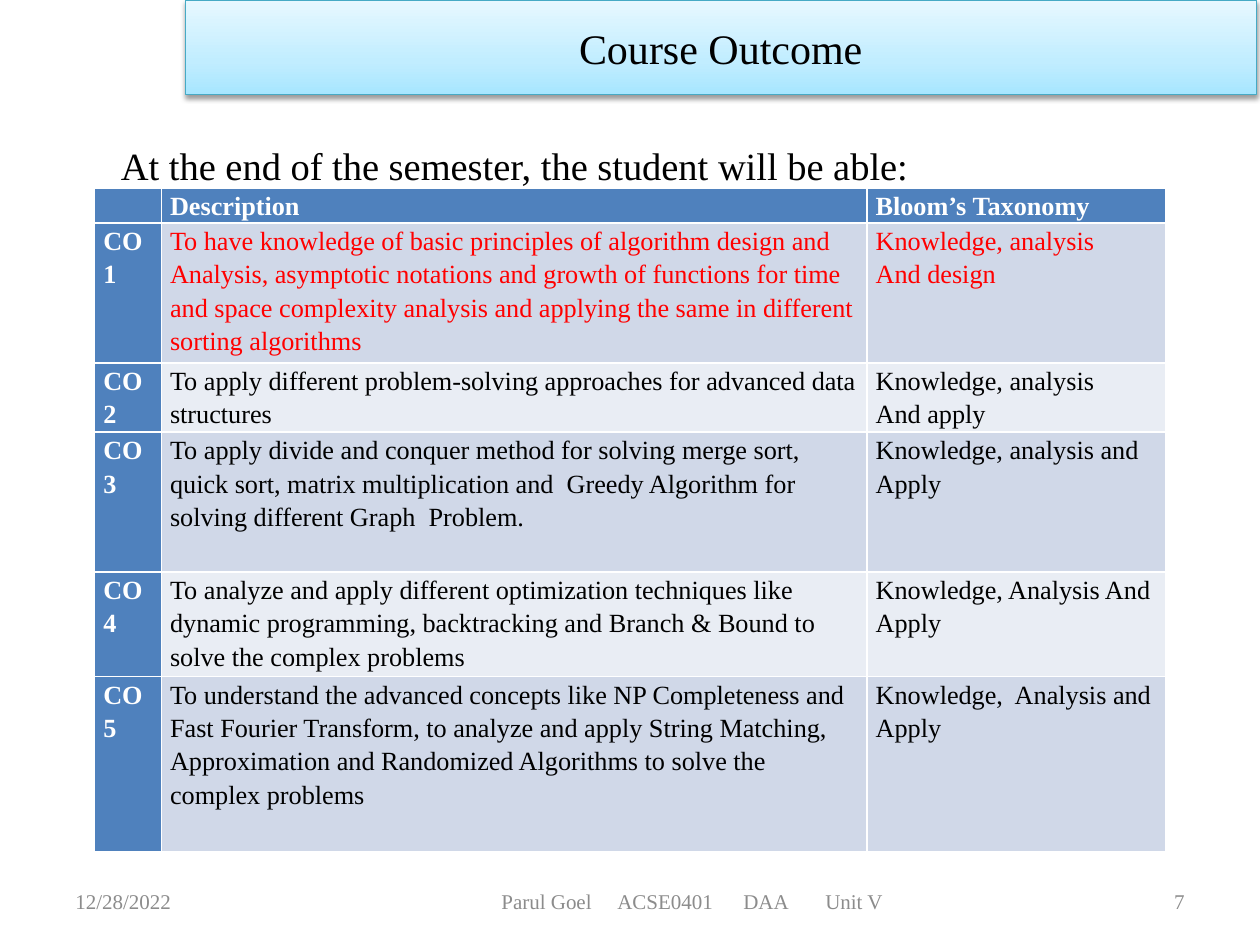
"""Build the course outcome slide with its table of five outcomes."""
from dataclasses import dataclass

from lxml.etree import SubElement
from pptx import Presentation
from pptx.dml.color import RGBColor
from pptx.enum.text import MSO_ANCHOR, MSO_AUTO_SIZE, PP_ALIGN
from pptx.oxml import parse_xml
from pptx.oxml.ns import nsdecls, qn
from pptx.util import Inches, Pt

FONT = "Times New Roman"
COLORS = {
    "black": "000000", "white": "FFFFFF", "red": "FF0000", "gray": "8C8C8C",
    "head": "4F81BD", "odd": "D0D8E8", "even": "E9EDF4", "edge": "46AAC5",
}
STOPS = ((0, "A7E6FF"), (35, "C1EDFF"), (100, "E7F8FF"))
COLS = (0.53, 5.6, 2.37)
HEADS = ("", "Description", "Bloom’s Taxonomy")


@dataclass
class Outcome:
    text: str
    bloom: str
    height: float
    color: str = "black"


@dataclass
class Footer:
    text: str
    left: float
    width: float
    align: PP_ALIGN
    inset: float = 0.1
    tabs: tuple[float, ...] = ()


OUTCOMES = (
    Outcome("To have knowledge of basic principles of algorithm design and Analysis, "
            "asymptotic notations and growth of functions for time and space complexity "
            "analysis and applying the same in different sorting algorithms",
            "Knowledge, analysis\nAnd design", 1.11, "red"),
    Outcome("To apply different problem-solving approaches for advanced data structures",
            "Knowledge, analysis\nAnd apply", 0.55),
    Outcome("To apply divide and conquer method for solving merge sort, quick sort, "
            "matrix multiplication and  Greedy Algorithm for solving different Graph  Problem.",
            "Knowledge, analysis and Apply", 1.11),
    Outcome("To analyze and apply different optimization techniques like dynamic programming, "
            "backtracking and Branch & Bound to solve the complex problems",
            "Knowledge, Analysis And Apply", 0.83),
    Outcome("To understand the advanced concepts like NP Completeness and Fast Fourier "
            "Transform, to analyze and apply String Matching, Approximation and Randomized "
            "Algorithms to solve the complex problems",
            "Knowledge,  Analysis and Apply", 1.39),
)
FOOTERS = (
    Footer("12/28/2022", 0.5, 2.33, PP_ALIGN.LEFT),
    Footer("Parul Goel\tACSE0401\tDAA\tUnit V", 2.75, 5.5, PP_ALIGN.LEFT,
           1.23, (0.92, 1.92, 2.57)),
    Footer("7", 7.17, 2.33, PP_ALIGN.RIGHT),
)


def rgb(name: str) -> RGBColor:
    return RGBColor.from_string(COLORS[name])


def style(frame, size: float, color: str, align=PP_ALIGN.LEFT, space=1.0, bold=False) -> None:
    for para in frame.paragraphs:
        para.alignment = align
        para.line_spacing = space
        for run in para.runs:
            run.font.name = FONT
            run.font.size = Pt(size)
            run.font.bold = bold
            run.font.color.rgb = rgb(color)


def place(shape, left: float, top: float, width: float, height: float) -> None:
    shape.left, shape.top = Inches(left), Inches(top)
    shape.width, shape.height = Inches(width), Inches(height)


def draw_title(title) -> None:
    place(title, 1.47, 0, 8.5, 0.75)
    frame = title.text_frame
    frame.text = "Course Outcome"
    frame.vertical_anchor = MSO_ANCHOR.MIDDLE
    style(frame, 24, "black", PP_ALIGN.CENTER)
    stops = "".join(f'<a:gs pos="{pos * 1000}"><a:srgbClr val="{color}"/></a:gs>'
                    for pos, color in STOPS)
    props = title.element.spPr
    props.append(parse_xml(f'<a:gradFill {nsdecls("a")} rotWithShape="1"><a:gsLst>{stops}'
                           '</a:gsLst><a:lin ang="16200000" scaled="0"/></a:gradFill>'))
    title.line.color.rgb = rgb("edge")
    title.line.width = Pt(0.75)
    props.append(parse_xml(
        f'<a:effectLst {nsdecls("a")}><a:outerShdw blurRad="{Pt(3.1)}" dist="{Pt(1.6)}" '
        f'dir="5400000" rotWithShape="0"><a:srgbClr val="{COLORS["black"]}">'
        '<a:alpha val="38000"/></a:srgbClr></a:outerShdw></a:effectLst>'))


def draw_intro(body) -> None:
    place(body, 0.86, 1.02, 8.5, 0.5)
    frame = body.text_frame
    frame.text = "At the end of the semester, the student will be able:"
    frame.auto_size = MSO_AUTO_SIZE.NONE
    style(frame, 22, "black", space=1.15)
    para = frame.paragraphs[0]
    para.space_before, para.space_after = Pt(0), Pt(10)
    props = para._p.get_or_add_pPr()
    props.set("marL", "0")
    props.set("indent", "0")
    SubElement(props, qn("a:buNone"))


def fill_cell(cell, text: str, fill: str, color: str, bold: bool) -> None:
    cell.margin_left = cell.margin_right = Inches(0.07)
    cell.margin_top = cell.margin_bottom = 0
    cell.text_frame.text = text
    style(cell.text_frame, 15, color, space=1.15, bold=bold)
    if not text:
        cell.text_frame.paragraphs[0]._p.get_or_add_endParaRPr().set("sz", "1500")
    cell.fill.solid()
    cell.fill.fore_color.rgb = rgb(fill)


def draw_table(shapes) -> None:
    heights = [0.28] + [item.height for item in OUTCOMES]
    table = shapes.add_table(len(heights), len(COLS), Inches(0.75), Inches(1.49),
                             Inches(sum(COLS)), Inches(sum(heights))).table
    table.first_col = True
    for col, width in zip(table.columns, COLS):
        col.width = Inches(width)
    for row, height in zip(table.rows, heights):
        row.height = Inches(height)
    for cell, text in zip(table.rows[0].cells, HEADS):
        fill_cell(cell, text, "head", "white", True)
    for num, item in enumerate(OUTCOMES, 1):
        label, *cells = table.rows[num].cells
        fill_cell(label, f"CO{num}", "head", "white", True)
        for cell, text in zip(cells, (item.text, item.bloom)):
            fill_cell(cell, text, "odd" if num % 2 else "even", item.color, False)


def draw_footer(shapes, item: Footer) -> None:
    box = shapes.add_textbox(Inches(item.left), Inches(6.95), Inches(item.width), Inches(0.4))
    frame = box.text_frame
    frame.word_wrap = True
    frame.vertical_anchor = MSO_ANCHOR.MIDDLE
    frame.margin_left = Inches(item.inset)
    frame.text = item.text
    style(frame, 12, "gray", item.align)
    if item.tabs:
        tabs = SubElement(frame.paragraphs[0]._p.get_or_add_pPr(), qn("a:tabLst"))
        for pos in item.tabs:
            SubElement(tabs, qn("a:tab"), pos=str(Inches(pos)), algn="l")


def main() -> None:
    deck = Presentation()
    deck.slide_width, deck.slide_height = Inches(10), Inches(7.5)
    slide = deck.slides.add_slide(deck.slide_layouts[1])
    draw_title(slide.shapes.title)
    draw_intro(slide.placeholders[1])
    draw_table(slide.shapes)
    for item in FOOTERS:
        draw_footer(slide.shapes, item)
    deck.save("out.pptx")


if __name__ == "__main__":
    main()
